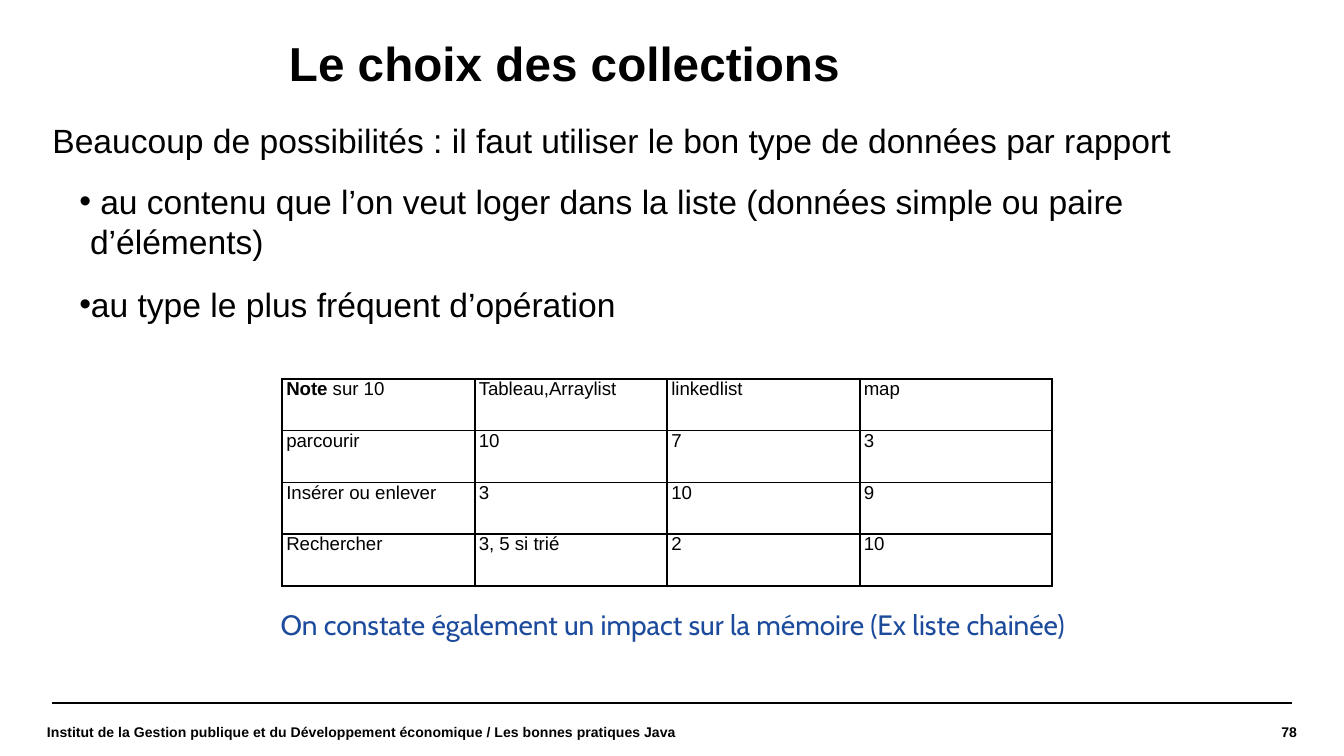
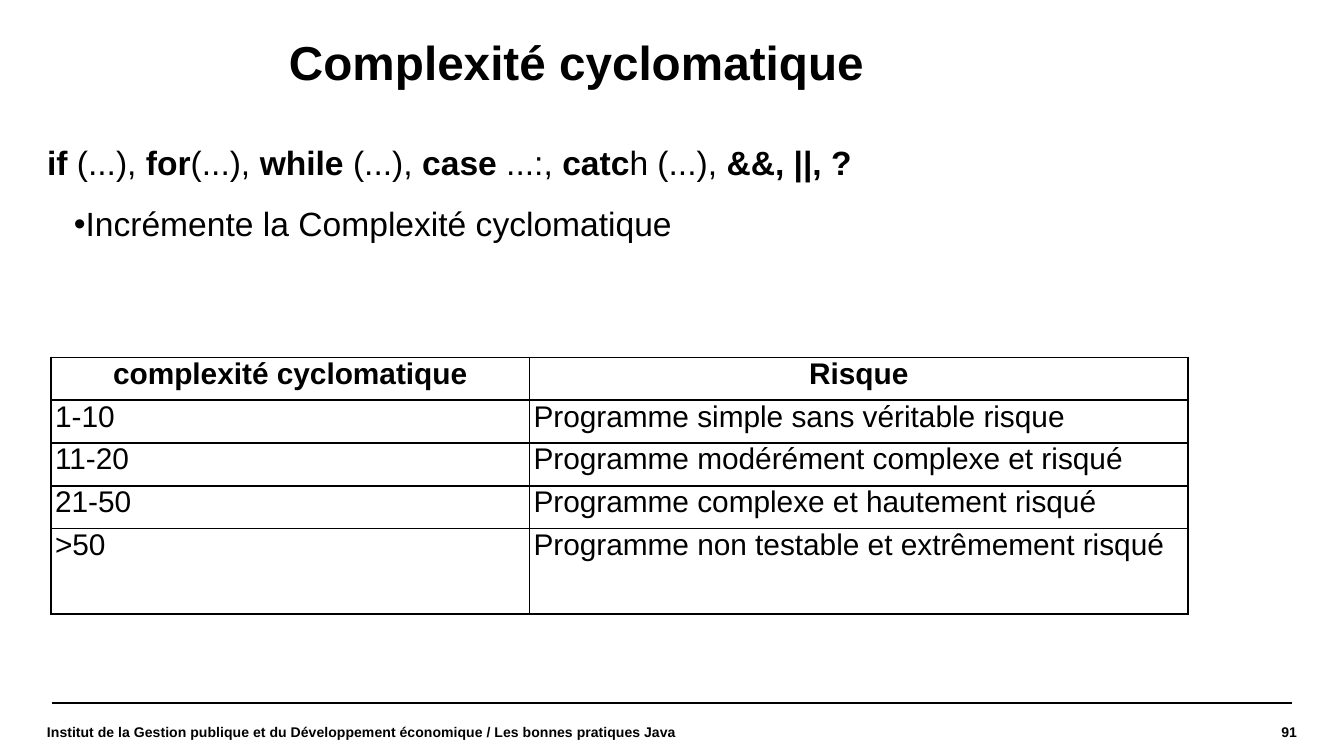
from lxml import etree
from pptx import Presentation
from pptx.dml.color import RGBColor
from pptx.enum.text import MSO_ANCHOR, PP_ALIGN
from pptx.enum.shapes import MSO_CONNECTOR
from pptx.oxml.ns import qn
from pptx.util import Inches, Pt

LEFT, CENTER, RIGHT, JUST = (
    PP_ALIGN.LEFT, PP_ALIGN.CENTER, PP_ALIGN.RIGHT, PP_ALIGN.JUSTIFY)
TOP, MIDDLE = MSO_ANCHOR.TOP, MSO_ANCHOR.MIDDLE
STRAIGHT = MSO_CONNECTOR.STRAIGHT

WIDTH = 10
HEIGHT = WIDTH * 9 / 16
BLACK, BLUE = "000000", "1C4B9C"
FOOTER = ("Institut de la Gestion publique et du Développement économique"
          " / Les bonnes pratiques Java")


def rgb(code):
    return RGBColor.from_string(code)


def write(frame, text, size=18, bold=False, color=BLACK, face="Arial",
          align=LEFT, before=0, after=0, line=None, bullet=False):
    """Add a paragraph; parts between asterisks are bold."""
    para = frame.paragraphs[0]
    if para.runs:
        para = frame.add_paragraph()
    if bullet:
        props = para._p.get_or_add_pPr()
        props.set("marL", str(Inches(0.28)))
        props.set("indent", str(Inches(-0.08)))
        etree.SubElement(props, qn("a:buFont"), typeface=face)
        etree.SubElement(props, qn("a:buChar"), char="•")
    para.alignment = align
    para.space_before, para.space_after = Pt(before), Pt(after)
    if line:
        para.line_spacing = line
    for i, part in enumerate(text.split("*")):
        if part:
            run = para.add_run()
            run.text = part
            font = run.font
            font.name, font.size = face, Pt(size)
            font.bold = bold or i % 2 == 1
            font.color.rgb = rgb(color)


def add_box(slide, x, y, w, h, pad=(0, 0), anchor=TOP):
    box = slide.shapes.add_textbox(Inches(x), Inches(y), Inches(w), Inches(h))
    frame = box.text_frame
    frame.word_wrap = True
    frame.vertical_anchor = anchor
    frame.margin_left = frame.margin_right = Inches(pad[0])
    frame.margin_top = frame.margin_bottom = Inches(pad[1])
    return frame


def add_rule(slide, x1, x2, y):
    rule = slide.shapes.add_connector(
        STRAIGHT, Inches(x1), Inches(y), Inches(x2), Inches(y))
    rule.line.color.rgb = rgb(BLACK)
    rule.line.width = Pt(0.8)
    etree.SubElement(rule._element.spPr, qn("a:effectLst"))


def add_page(deck, title, number, top):
    """Add a slide with its title, footer rule, footer and number."""
    slide = deck.slides.add_slide(deck.slide_layouts[6])
    add_rule(slide, 0.39, 9.61, 5.23)
    write(add_box(slide, 2.15, top, 6.39, 0.48), title,
          size=25.5, bold=True, line=0.9)
    for x, w, text, align in ((8.17, 1.48, str(number), RIGHT),
                              (0.35, 4.84, FOOTER, LEFT)):
        write(add_box(slide, x, 5.25, w, 0.39, anchor=MIDDLE), text,
              size=7.5, bold=True, align=align)
    return slide


def add_body(slide, x, y, w, h, lead, points):
    frame = add_box(slide, x, y, w, h)
    write(frame, lead, after=5)
    for point in points:
        write(frame, point, before=6, after=6, bullet=True)


def edge_cell(cell):
    """Draw thin black borders round a cell and leave it unfilled."""
    props = cell._tc.get_or_add_tcPr()
    for side in ("lnL", "lnR", "lnT", "lnB"):
        edge = etree.SubElement(props, qn("a:" + side), w=str(Pt(1)))
        fill = etree.SubElement(edge, qn("a:solidFill"))
        etree.SubElement(fill, qn("a:srgbClr"), val=BLACK)
    cell.fill.background()


def add_grid(slide, x, y, cols, rows, data, size, head=LEFT, align=LEFT):
    grid = slide.shapes.add_table(
        len(rows), len(cols), Inches(x), Inches(y),
        Inches(sum(cols)), Inches(sum(rows))).table
    grid.first_row = grid.horz_banding = False
    for col, w in zip(grid.columns, cols):
        col.width = Inches(w)
    for r, (row, h) in enumerate(zip(grid.rows, rows)):
        row.height = Inches(h)
        for cell, text in zip(row.cells, data[r]):
            edge_cell(cell)
            cell.margin_left = cell.margin_right = Inches(0.03)
            cell.margin_top = cell.margin_bottom = 0
            write(cell.text_frame, text, size=size,
                  align=align if r else head)


def add_choice(deck):
    slide = add_page(deck, "Le choix des collections", 78, 0.3)
    add_body(slide, 0.39, 0.89, 8.86, 2.57,
             "Beaucoup de possibilités : il faut utiliser le bon type de "
             "données par rapport",
             [" au contenu que l’on veut loger dans la liste "
              "(données simple ou paire d’éléments)",
              "au type le plus fréquent d’opération"])
    notes = [("*Note* sur 10", "Tableau,Arraylist", "linkedlist", "map"),
             ("parcourir", "10", "7", "3"),
             ("Insérer ou enlever", "3", "10", "9"),
             ("Rechercher", "3, 5 si trié", "2", "10")]
    add_grid(slide, 2.1, 2.82, [5.73 / 4] * 4, [1.54 / 4] * 4, notes, 10)
    write(add_box(slide, 1.99, 4.47, 7.03, 0.35, pad=(0.1, 0.05)),
          "On constate également un impact sur la mémoire (Ex liste chainée)",
          size=15, color=BLUE, face="Cabin")


def add_risk(deck):
    slide = add_page(deck, "Complexité cyclomatique", 91, 0.29)
    add_body(slide, 0.35, 1.06, 6.38, 1.36,
             "*if* (...), *for*(...), *while* (...), *case* ...:, "
             "*catc*h (...), *&&, ||, ?*",
             ["Incrémente la Complexité cyclomatique"])
    risks = [("*complexité cyclomatique*", "*Risque*"),
             ("1-10", "Programme simple sans véritable risque"),
             ("11-20", "Programme modérément complexe et risqué"),
             ("21-50", "Programme complexe et hautement risqué"),
             (">50", "Programme non testable et extrêmement risqué")]
    unit = 1.91 / 6
    add_grid(slide, 0.38, 2.66, [3.56, 4.9], [unit] * 4 + [unit * 2], risks,
             16, head=CENTER, align=JUST)


def main():
    deck = Presentation()
    deck.slide_width, deck.slide_height = Inches(WIDTH), Inches(HEIGHT)
    add_choice(deck)
    add_risk(deck)
    deck.save("out.pptx")


if __name__ == "__main__":
    main()
